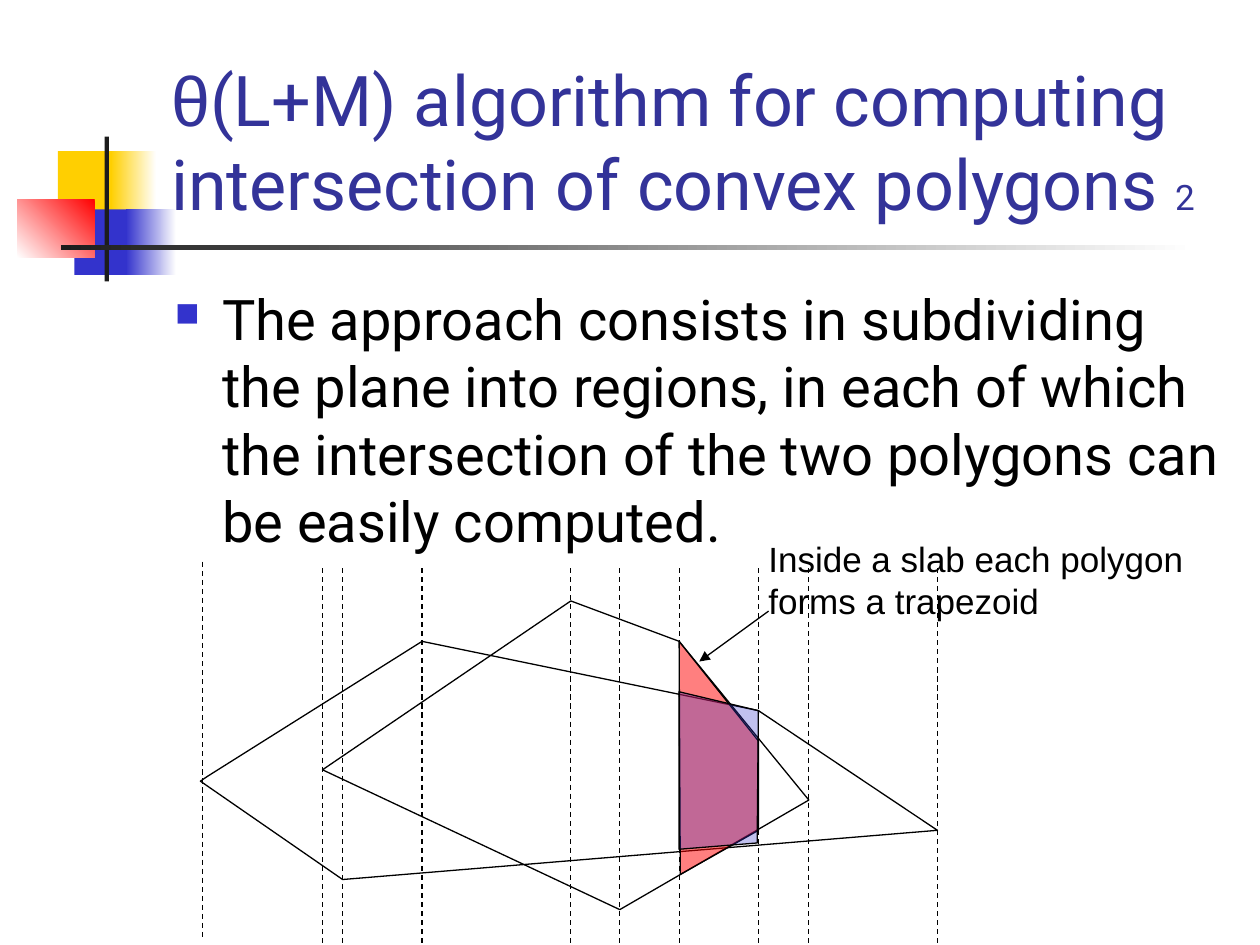
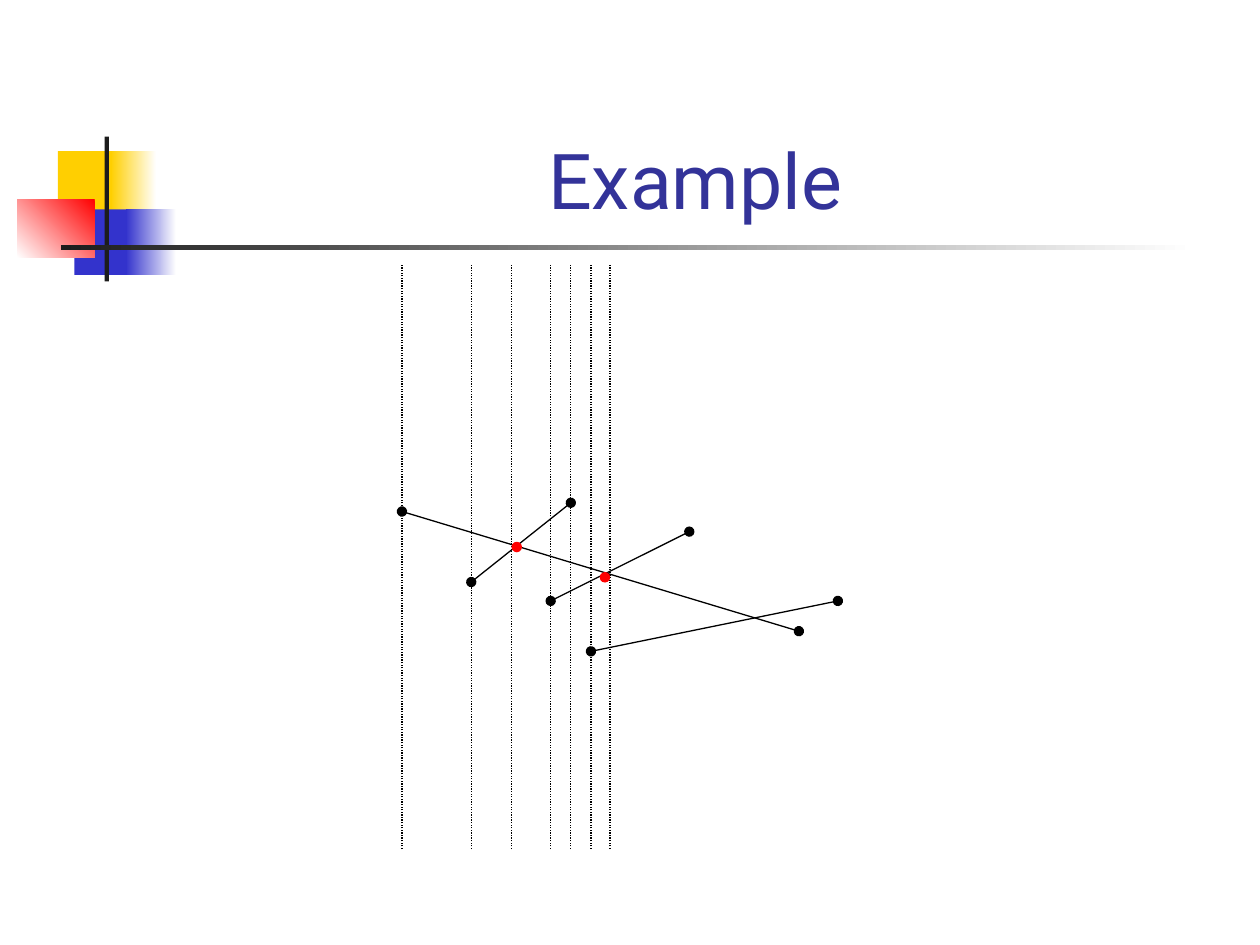
from lxml import etree
from pptx import Presentation
from pptx import util as u
from pptx.dml.color import RGBColor
from pptx.enum import dml, shapes, text
from pptx.oxml import ns

BLACK, INK, WHITE = "000000", "1C1C1C", "FFFFFF"
YELLOW, BLUE, RED, TITLE_BLUE = "FFCF01", "3333CC", "FF0000", "333399"
HEADING_FONT, NOTE_FONT = "Roboto", "Arial"
LINE_WIDTH = 0.75

TITLE_BOX = (90.7, 16.6, 613.4, 115.2)
BODY_BOX = (92.9, 159.1, 612, 324)
SLAB_BOX = (114, 321, 422, 219)
SWEEP_BOX = (229.7, 151.2, 250, 334)


def rgb(color):
    return RGBColor.from_string(color)


def add_xml(parent, tag, **attributes):
    element = etree.SubElement(parent, ns.qn(tag))
    for name, value in attributes.items():
        element.set(name, str(value))
    return element


def set_opacity(shape, percent):
    color = shape._element.spPr.find(ns.qn("a:solidFill"))[0]
    add_xml(color, "a:alpha", val=percent * 1000)


def style_outline(line):
    line.color.rgb = rgb(BLACK)
    line.width = u.Pt(LINE_WIDTH)


def add_plain_shape(slide, kind, box, color):
    shape = slide.shapes.add_shape(kind, *map(u.Pt, box))
    shape.shadow.inherit = False
    shape.line.fill.background()
    shape.fill.solid()
    shape.fill.fore_color.rgb = rgb(color)
    return shape


def add_gradient_bar(slide, box, start, end, angle=180):
    """The angle runs counter-clockwise."""
    shape = add_plain_shape(slide, shapes.MSO_SHAPE.RECTANGLE, box, start)
    shape.fill.gradient()
    shape.fill.gradient_angle = angle
    for stop, color, position in zip(shape.fill.gradient_stops, (start, end), (0, 1)):
        stop.color.rgb = rgb(color)
        stop.position = position


def add_line(slide, start, end, dash=None, head=None, tail=None):
    connector = slide.shapes.add_connector(
        shapes.MSO_CONNECTOR.STRAIGHT, *map(u.Pt, (*start, *end)))
    style_outline(connector.line)
    if dash:
        connector.line.dash_style = dash
    outline = connector.line._get_or_add_ln()
    for tag, kind in (("a:headEnd", head), ("a:tailEnd", tail)):
        if kind:
            add_xml(outline, tag, type=kind)
    add_xml(connector._element.spPr, "a:effectLst")


def add_polygon(slide, points, color=None, opacity=100):
    corners = [(u.Pt(x), u.Pt(y)) for x, y in points]
    builder = slide.shapes.build_freeform(*corners[0], scale=1.0)
    builder.add_line_segments(corners[1:], close=True)
    polygon = builder.convert_to_shape()
    polygon.shadow.inherit = False
    style_outline(polygon.line)
    if color:
        polygon.fill.solid()
        polygon.fill.fore_color.rgb = rgb(color)
        set_opacity(polygon, opacity)
    else:
        polygon.fill.background()


def add_text(slide, box, paragraphs, wrap=True, anchor=text.MSO_ANCHOR.TOP):
    """Each paragraph is a list of runs: (words, size, font, color)."""
    frame = slide.shapes.add_textbox(*map(u.Pt, box)).text_frame
    frame.word_wrap = wrap
    frame.vertical_anchor = anchor
    for index, runs in enumerate(paragraphs):
        paragraph = frame.add_paragraph() if index else frame.paragraphs[0]
        for words, size, font, color in runs:
            run = paragraph.add_run()
            run.text = words
            run.font.size = u.Pt(size)
            run.font.name = font
            run.font.color.rgb = rgb(color)
    return frame


def shifted(points, box):
    return [(box[0] + x, box[1] + y) for x, y in points]


def add_title_ornament(slide):
    rectangle = shapes.MSO_SHAPE.RECTANGLE
    add_plain_shape(slide, rectangle, (33.1, 86.4, 34.6, 37.4), YELLOW)
    add_gradient_bar(slide, (63.4, 86.4, 25.9, 37.4), WHITE, YELLOW)
    add_plain_shape(slide, rectangle, (42.5, 119.7, 33.1, 37.4), BLUE)
    add_gradient_bar(slide, (72, 119.7, 28.8, 37.4), WHITE, BLUE)
    add_gradient_bar(slide, (9.8, 113.8, 44.4, 33.4), RED, WHITE, angle=225)
    add_plain_shape(slide, rectangle, (59.8, 78, 2.5, 82.8), INK)
    add_gradient_bar(slide, (34.8, 140.1, 648, 2.6), WHITE, INK)


def add_titled_slide(presentation, title_runs, alignment=text.PP_ALIGN.LEFT):
    slide = presentation.slides.add_slide(presentation.slide_layouts[6])
    add_title_ornament(slide)
    runs = [(*run, TITLE_BLUE) for run in title_runs]
    frame = add_text(slide, TITLE_BOX, [runs], anchor=text.MSO_ANCHOR.BOTTOM)
    frame.paragraphs[0].alignment = alignment
    return slide


def add_bullet(slide, box, words):
    frame = add_text(slide, box, [[(words, 32, HEADING_FONT, BLACK)]])
    paragraph = frame.paragraphs[0]
    paragraph.space_before = u.Pt(8)
    properties = paragraph._p.get_or_add_pPr()
    properties.set("marL", str(u.Pt(27)))
    properties.set("indent", str(u.Pt(-27)))
    add_xml(add_xml(properties, "a:buClr"), "a:srgbClr", val=BLUE)
    add_xml(properties, "a:buSzPct", val=60000)
    add_xml(properties, "a:buChar", char="■")


def add_slab_diagram(slide, box):
    left, top, _, height = box
    wide_polygon = [(0.5, 125.4), (4.8, 122.5), (127.2, 45.5),
                    (319.4, 85.1), (421.7, 153.5), (81.8, 181.6)]
    tall_polygon = [(70.3, 118.9), (212.2, 22.4), (274.1, 45.5),
                    (348.2, 136.2), (240.2, 198.8)]
    red_trapezoid = [(274.1, 45.5), (319.4, 102.4), (319.4, 153.5), (274.8, 178.7)]
    blue_trapezoid = [(274.1, 74.3), (319.4, 85.1), (318.7, 160.7), (274.1, 164.3)]

    for polygon in (wide_polygon, tall_polygon):
        add_polygon(slide, shifted(polygon, box))

    # A slab border passes through every vertex; the leftmost sits a little higher.
    borders = [(1.9, 0)] + [(x, 3.6) for x, _ in wide_polygon[2:] + tall_polygon]
    for x, drop in borders:
        add_line(slide, (left + x, top + drop), (left + x, top + height - 3.6 + drop),
                 dash=dml.MSO_LINE.DASH)

    add_polygon(slide, shifted(red_trapezoid, box), RED, 50)
    add_polygon(slide, shifted(blue_trapezoid, box), BLUE, 30)
    note = ("Inside a slab each polygon", "forms a trapezoid")
    add_text(slide, (left + 318, top - 17.2, 268.6, 55.4),
             [[(words, 20, NOTE_FONT, BLACK)] for words in note], wrap=False)
    add_line(slide, *shifted([(325.2, 28.2), (285.6, 57)], box), tail="triangle")


def add_sweep_diagram(slide, box):
    left, top, _, height = box
    segments = [((39.6, 181.4), (96.5, 136.1)), ((0, 141.1), (226.8, 209.5)),
                ((85, 192.2), (164.2, 152.6)), ((108, 221), (249.1, 192.2))]
    crossings = [(62.6, 158.4), (113, 175.7)]
    dot = 6

    for segment in segments:
        add_line(slide, *shifted(segment, box), head="oval", tail="oval")
    for x in (0, 39.6, 62.6, 85, 96.5, 108, 118.8):
        add_line(slide, (left + x, top + height), (left + x, top),
                 dash=dml.MSO_LINE.ROUND_DOT)
    for x, y in shifted(crossings, box):
        add_plain_shape(slide, shapes.MSO_SHAPE.OVAL, (x, y, dot, dot), RED)


def main():
    presentation = Presentation()
    presentation.slide_width, presentation.slide_height = u.Pt(720), u.Pt(540)

    slab_slide = add_titled_slide(presentation, [
        ("θ", 40, NOTE_FONT),
        ("(L+M) algorithm for computing intersection of convex polygons ",
         40, HEADING_FONT),
        ("2", 20, HEADING_FONT)])
    add_bullet(slab_slide, BODY_BOX,
               "The approach consists in subdividing the plane into regions, in each "
               "of which the intersection of the two polygons can be easily computed.")
    add_slab_diagram(slab_slide, SLAB_BOX)

    example_slide = add_titled_slide(
        presentation, [("Example", 44, HEADING_FONT)], text.PP_ALIGN.CENTER)
    add_sweep_diagram(example_slide, SWEEP_BOX)

    presentation.save("out.pptx")


if __name__ == "__main__":
    main()
